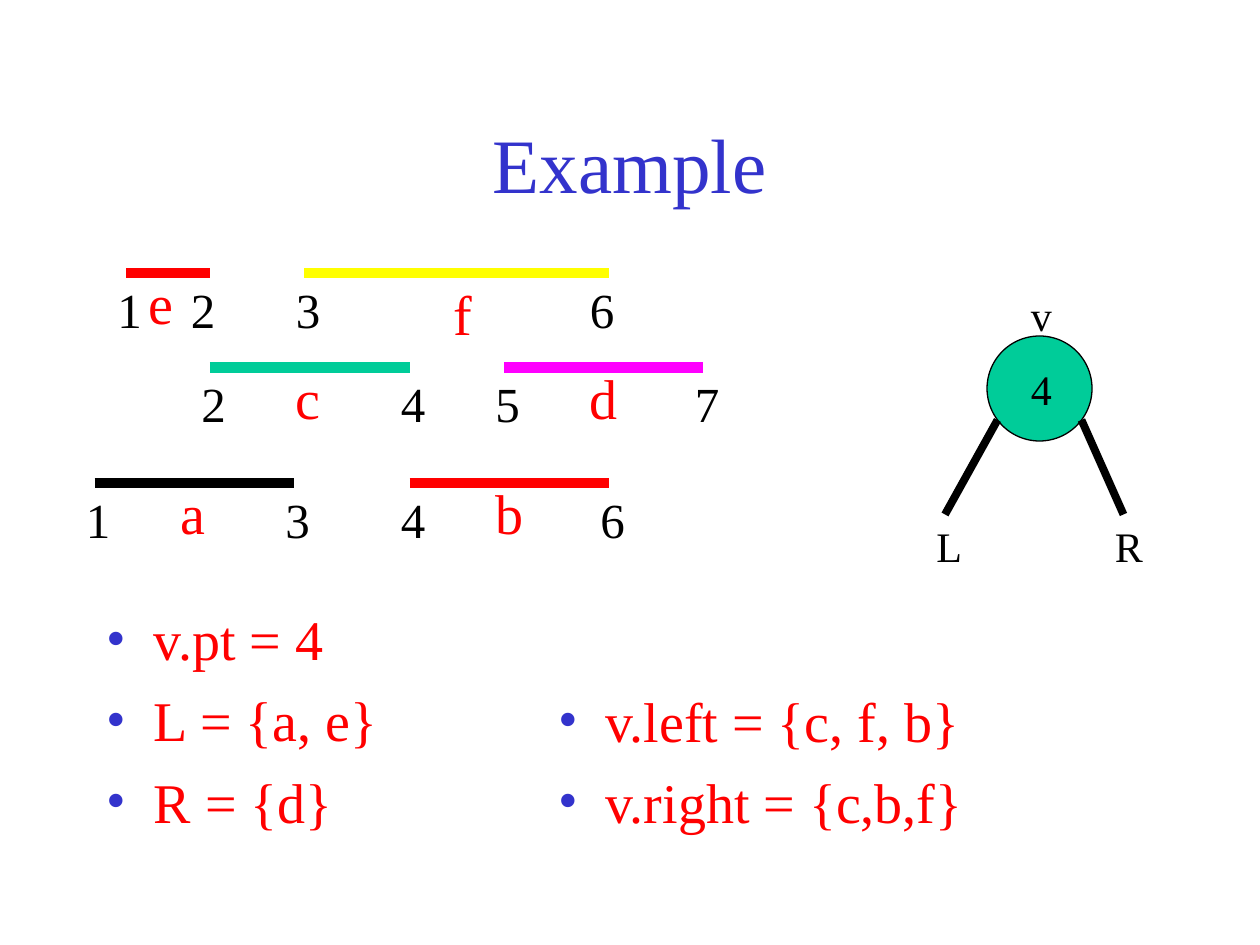
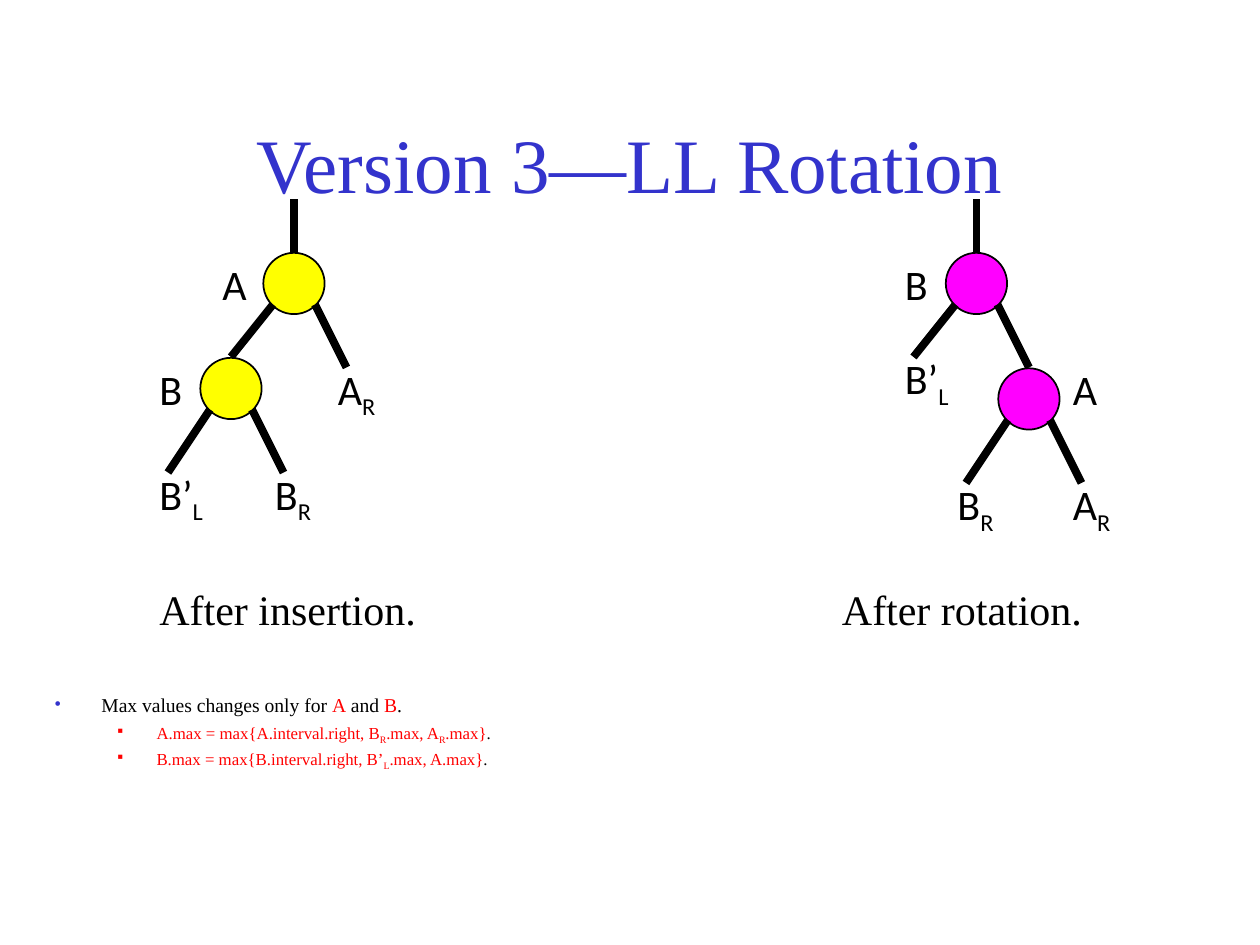
from lxml.etree import SubElement
from pptx import Presentation
from pptx.dml.color import RGBColor
from pptx.enum.shapes import MSO_CONNECTOR as LINE, MSO_SHAPE as SHAPE
from pptx.enum.text import MSO_ANCHOR as ANCHOR, PP_ALIGN as ALIGN
from pptx.oxml.ns import qn
from pptx.util import Cm, Pt

BLACK = RGBColor(0x00, 0x00, 0x00)
BLUE = RGBColor(0x33, 0x33, 0xCC)
RED = RGBColor(0xFF, 0x00, 0x00)
GREEN = RGBColor(0x00, 0xCC, 0x99)
YELLOW = RGBColor(0xFF, 0xFF, 0x00)
MAGENTA = RGBColor(0xFF, 0x00, 0xFF)
SERIF, SANS = "Times New Roman", "Calibri"
EDGE_WIDTH = 4.5
NODE_SIZE = 5.84


def grid(n):
    """Length of n grid steps, twelve to 2.54 cm."""
    return Cm(n * 2.54 / 12)


def add_runs(p, text, size, color=BLACK, font=SERIF):
    """Add text to p; each part is a string or (string, colour); _X sets X as subscript."""
    parts = [text] if isinstance(text, str) else text
    for part in parts:
        words, shade = (part, color) if isinstance(part, str) else part
        for i, piece in enumerate(words.split("_")):
            chunks = [(piece, False)] if i == 0 else [(piece[0], True), (piece[1:], False)]
            for chunk, is_sub in chunks:
                if not chunk:
                    continue
                r = p.add_run()
                r.text = chunk
                for name, value in {"name": font, "size": Pt(size)}.items():
                    setattr(r.font, name, value)
                r.font.color.rgb = shade
                if is_sub:
                    r._r.get_or_add_rPr().set("baseline", "-25000")


def add_box(slide, x, y, w, h):
    tf = slide.shapes.add_textbox(*map(grid, (x, y, w, h))).text_frame
    tf.word_wrap = True
    return tf


def add_label(slide, x, y, text, size=24, color=BLACK, font=SERIF, w=4):
    tf = add_box(slide, x, y, w, size / 4)
    add_runs(tf.paragraphs[0], text, size, color, font)


def add_title(slide, text):
    tf = add_box(slide, 9, 8, 102, 15)
    tf.vertical_anchor = ANCHOR.MIDDLE
    tf.paragraphs[0].alignment = ALIGN.CENTER
    add_runs(tf.paragraphs[0], text, 44, BLUE)


def add_line(slide, start, end, color=BLACK, width=EDGE_WIDTH):
    c = slide.shapes.add_connector(LINE.STRAIGHT, *map(grid, (*start, *end)))
    c.line.color.rgb = color
    c.line.width = Pt(width)
    SubElement(c._element.spPr, qn("a:effectLst"))


def add_circle(slide, cx, cy, size, fill, width):
    corner = (cx - size / 2, cy - size / 2)
    sp = slide.shapes.add_shape(SHAPE.OVAL, *map(grid, (*corner, size, size)))
    sp.shadow.inherit = False
    sp.fill.solid()
    sp.fill.fore_color.rgb = fill
    sp.line.color.rgb = BLACK
    sp.line.width = Pt(width)


def set_bullet(p, char, color, margin, hang):
    pPr = p._p.get_or_add_pPr()
    pPr.set("marL", str(Cm(margin)))
    pPr.set("indent", str(-Cm(hang)))
    clr = SubElement(pPr, qn("a:buClr"))
    SubElement(clr, qn("a:srgbClr")).set("val", str(color))
    SubElement(pPr, qn("a:buFont")).set("typeface", SERIF)
    SubElement(pPr, qn("a:buChar")).set("char", char)


def add_bullets(slide, box, items, styles):
    """Write items of (level, text); styles holds the format of each level."""
    tf = add_box(slide, *box)
    for i, (level, text) in enumerate(items):
        style = styles[level]
        p = tf.add_paragraph() if i else tf.paragraphs[0]
        p.level = level
        for name, value in style["paragraph"].items():
            setattr(p, name, value)
        set_bullet(p, *style["bullet"])
        add_runs(p, text, style["size"], style["color"])


def interval_diagram(slide, left, top):
    # name, colour, first x, last x, y, name offset (x, y), shift of the last number
    intervals = [
        ("e", RED, "1", "2", 5, 13, 1, (1, -1), -3),
        ("f", YELLOW, "3", "6", 22, 51, 1, (13, 0), -3),
        ("c", GREEN, "2", "4", 13, 32, 10, (7, -1), -2),
        ("d", MAGENTA, "5", "7", 41, 60, 10, (7, -1), -2),
        ("a", BLACK, "1", "3", 2, 21, 21, (7, -1), -2),
        ("b", RED, "4", "6", 32, 51, 21, (7, -1), -2),
    ]
    for name, color, low, high, x1, x2, y, (dx, dy), shift in intervals:
        x1, x2, y = left + x1, left + x2, top + y
        add_line(slide, (x1, y), (x2, y), color, 6)
        add_label(slide, x1 - 2, y, low, 28, w=5)
        add_label(slide, x2 + shift, y, high, 28, w=5)
        add_label(slide, x1 + dx, y + dy, name, 32, RED, w=5)


def root_diagram(slide, left, top):
    add_circle(slide, left + 11, top + 10, 10, GREEN, 0.75)
    add_line(slide, (left + 7, top + 13), (left + 2, top + 22))
    add_line(slide, (left + 15, top + 13), (left + 19, top + 22))
    for text, x, y in [("v", 9, 0), ("4", 9, 7), ("L", 0, 22), ("R", 17, 22)]:
        add_label(slide, left + x, top + y, text)


def tree_node(slide, cx, cy, fill, left_drop, labels):
    """Draw a node with its two edges; labels are (text, dx, dy) from its centre."""
    add_circle(slide, cx, cy, NODE_SIZE, fill, 1)
    add_line(slide, (cx - 2, cy + 2), (cx - 6, cy + left_drop))
    add_line(slide, (cx + 2, cy + 2), (cx + 5, cy + 8))
    for text, dx, dy in labels:
        add_label(slide, cx + dx, cy + dy, text, font=SANS, w=9 if "_" in text else 4)


def rotation_tree(slide, left, top, caption, fill, root_labels, child, child_labels):
    cx, cy = left + 14, top + 8
    add_line(slide, (cx, cy - 3), (cx, cy - 8))
    tree_node(slide, cx, cy, fill, 7, root_labels)
    tree_node(slide, cx + child[0], cy + child[1], fill, 8, child_labels)
    add_label(slide, left, top + 36, caption, w=32)


def example_slide(slide):
    add_title(slide, "Example")
    style = {
        "paragraph": {"space_before": Pt(8)},
        "bullet": ("•", BLUE, 0.95, 0.95),
        "size": 32,
        "color": RED,
    }
    interval_diagram(slide, 7, 25)
    root_diagram(slide, 88, 27)
    facts = ["v.pt = 4", "L = {a, e}", "R = {d}"]
    lists = ["v.left = {c, f, b}", "v.right = {c,b,f}"]
    for box, texts in [((9, 57, 31, 33), facts), ((52, 64.75, 54, 25), lists)]:
        add_bullets(slide, box, [(0, text) for text in texts], [style])


def rotation_slide(slide):
    add_title(slide, "Version 3—LL Rotation")
    rotation_tree(
        slide, 14, 19, "After insertion.", YELLOW,
        [("A", -8, -3), ("A_R", 3, 7)],
        (-6, 10), [("B", -8, -3), ("B’_L", -8, 7), ("B_R", 3, 7)],
    )
    rotation_tree(
        slide, 79, 19, "After rotation.", MAGENTA,
        [("B", -8, -3), ("B’_L", -8, 6)],
        (5, 11), [("A", 3, -4), ("B_R", -8, 7), ("A_R", 3, 7)],
    )
    styles = [
        {"paragraph": {"space_before": Pt(7), "line_spacing": 0.7},
         "bullet": ("•", BLUE, 0.95, 0.95), "size": 11.2, "color": BLACK},
        {"paragraph": {"space_before": Pt(6), "line_spacing": 0.7},
         "bullet": ("▪", RED, 2.06, 0.79), "size": 9.6, "color": RED},
    ]
    items = [
        (0, ["Max values changes only for ", ("A", RED), " and ", ("B", RED), "."]),
        (1, ["A.max = max{A.interval.right, B_R.max, A_R.max}", (".", BLACK)]),
        (1, ["B.max = max{B.interval.right, B’_L.max, A.max}", (".", BLACK)]),
    ]
    add_bullets(slide, (4, 66, 102, 8), items, styles)


def main():
    prs = Presentation()
    prs.slide_width, prs.slide_height = Cm(25.4), Cm(19.05)
    for build in (example_slide, rotation_slide):
        build(prs.slides.add_slide(prs.slide_layouts[6]))
    prs.save("out.pptx")


if __name__ == "__main__":
    main()
